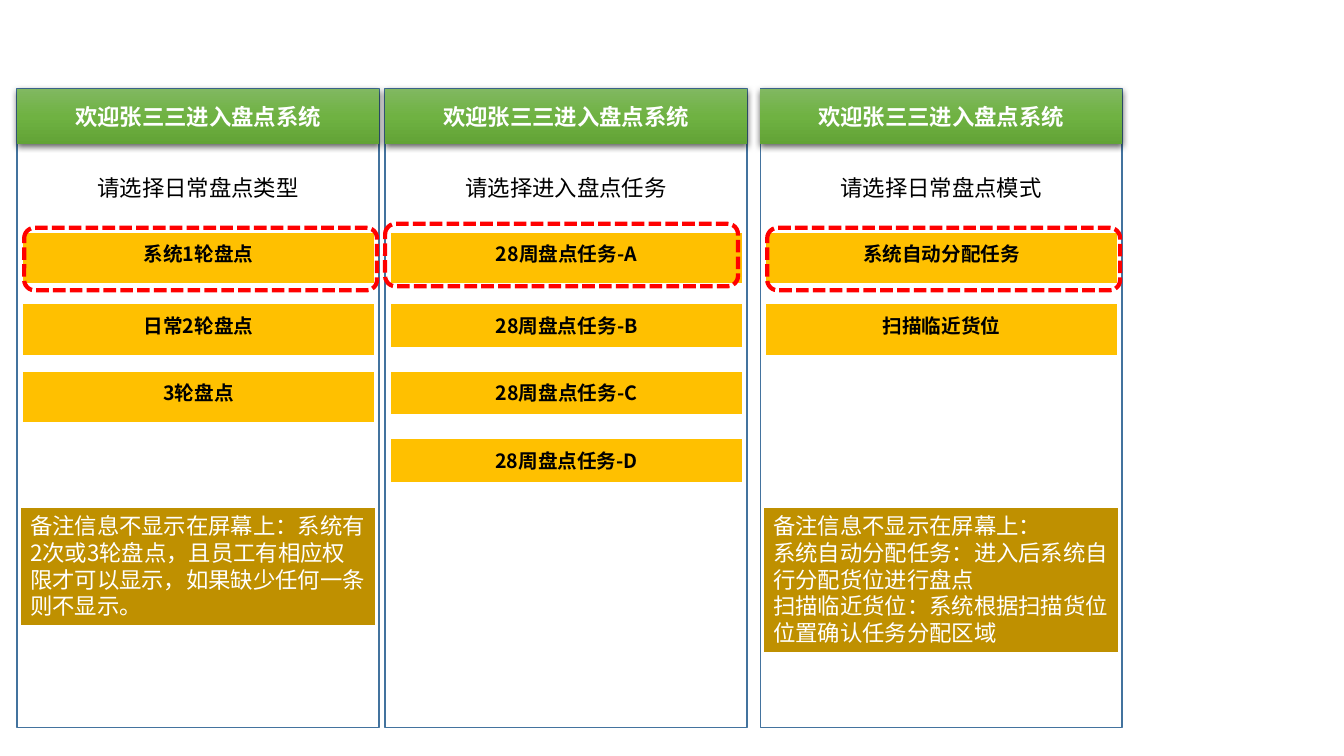
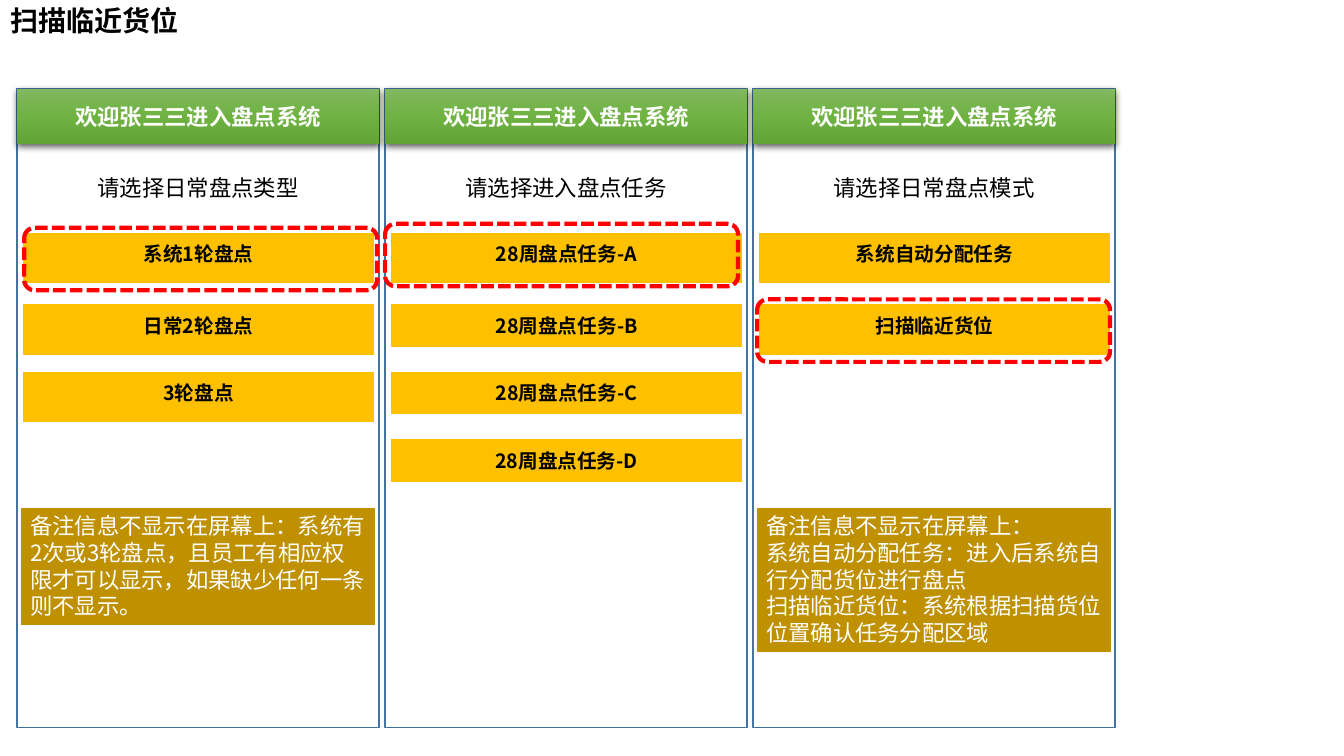
import dataclasses

import pptx
import pptx.dml.color
import pptx.enum.dml
import pptx.enum.shapes
import pptx.enum.text
import pptx.oxml
import pptx.oxml.ns
import pptx.util

Inches = pptx.util.Inches
Pt = pptx.util.Pt
SHAPE = pptx.enum.shapes.MSO_SHAPE
ALIGN = pptx.enum.text.PP_ALIGN
ANCHOR = pptx.enum.text.MSO_ANCHOR
qn = pptx.oxml.ns.qn


# Colours, type sizes and the shared geometry of a screen
@dataclasses.dataclass(frozen=True)
class Theme:
    font: str = "Noto Sans CJK SC"
    title_font: str = "Calibri"
    black: str = "000000"
    white: str = "FFFFFF"
    frame: str = "43739E"
    button: str = "FFC000"
    note: str = "BF9000"
    mark: str = "FF0000"
    header_stops: tuple = ((0, "81B861"), (50, "6FB242"), (100, "62A336"))
    title_size: int = 20
    body_size: int = 16
    button_size: int = 14
    screen_top: float = 0.88
    screen_width: float = 3.59
    screen_height: float = 6.34
    button_width: float = 3.5
    button_tops: tuple = (2.3, 3.01, 3.68, 4.35)
    note_top: float = 5.03


THEME = Theme()


# One screen of the stocktaking flow
@dataclasses.dataclass(frozen=True)
class Screen:
    left: float
    prompt: str
    buttons: tuple
    mark: tuple  # offset from the screen's left edge, top
    low_buttons: float = 0.52  # height of the buttons below the first
    note: tuple = ()
    note_height: float = 0


def rgb(code):
    return pptx.dml.color.RGBColor.from_string(code)


def write(frame, *paragraphs, size, color=THEME.black, bold=False, font=THEME.font,
          align=ALIGN.LEFT, anchor=ANCHOR.TOP, top_inset=0.05, spacing=None):
    frame.word_wrap = True
    frame.auto_size = pptx.enum.text.MSO_AUTO_SIZE.NONE
    frame.vertical_anchor = anchor
    frame.margin_top = Inches(top_inset)
    for index, text in enumerate(paragraphs):
        paragraph = frame.add_paragraph() if index else frame.paragraphs[0]
        paragraph.alignment = align
        paragraph.line_spacing = spacing
        run = paragraph.add_run()
        run.text = text
        run.font.size = Pt(size)
        run.font.bold = bold
        run.font.name = font
        run.font.color.rgb = rgb(color)
        east_asian = pptx.oxml.parse_xml(
            f'<a:ea {pptx.oxml.ns.nsdecls("a")} typeface="{THEME.font}"/>')
        run.font._element.find(qn("a:latin")).addnext(east_asian)


def add_box(slide, left, top, width, height, fill=None, line=None, line_width=1.5,
            kind=SHAPE.RECTANGLE):
    box = slide.shapes.add_shape(
        kind, Inches(left), Inches(top), Inches(width), Inches(height))
    box.shadow.inherit = False
    if fill:
        box.fill.solid()
        box.fill.fore_color.rgb = rgb(fill)
    else:
        box.fill.background()
    if line:
        box.line.color.rgb = rgb(line)
        box.line.width = Pt(line_width)
    else:
        box.line.fill.background()
    return box


def add_header(slide, left):
    header = add_box(slide, left, THEME.screen_top, THEME.screen_width, 0.55)
    header.fill.gradient()
    header.fill.gradient_angle = 270
    properties = header._element.spPr
    stops = properties.find(qn("a:gradFill")).find(qn("a:gsLst"))
    for stop in list(stops):
        stops.remove(stop)
    namespace = pptx.oxml.ns.nsdecls("a")
    for position, color in THEME.header_stops:
        stops.append(pptx.oxml.parse_xml(
            f'<a:gs {namespace} pos="{position * 1000}"><a:srgbClr val="{color}"/></a:gs>'))
    properties.find(qn("a:effectLst")).append(pptx.oxml.parse_xml(
        f'<a:outerShdw {namespace} blurRad="{Pt(4.5)}" dist="{Pt(1.5)}" dir="5400000" '
        f'algn="ctr" rotWithShape="0"><a:srgbClr val="{THEME.black}">'
        '<a:alpha val="63000"/></a:srgbClr></a:outerShdw>'))
    write(header.text_frame, "欢迎张三三进入盘点系统", size=THEME.body_size,
          color=THEME.white, bold=True, align=ALIGN.CENTER, anchor=ANCHOR.MIDDLE)


def add_prompt(slide, left, text):
    prompt = slide.shapes.add_textbox(
        Inches(left), Inches(1.68), Inches(THEME.screen_width), Inches(0.37))
    write(prompt.text_frame, text, size=THEME.body_size, align=ALIGN.CENTER)


def add_button(slide, left, top, height, text):
    button = add_box(slide, left, top, THEME.button_width, height,
                     fill=THEME.button, line=THEME.white)
    write(button.text_frame, text, size=THEME.button_size, bold=True,
          align=ALIGN.CENTER, top_inset=0.1)


def add_mark(slide, left, top):
    mark = add_box(slide, left, top, THEME.button_width, 0.62, line=THEME.mark,
                   line_width=3, kind=SHAPE.ROUNDED_RECTANGLE)
    mark.line.dash_style = pptx.enum.dml.MSO_LINE.SQUARE_DOT


def add_note(slide, left, height, paragraphs):
    note = add_box(slide, left, THEME.note_top, 3.53, height,
                   fill=THEME.note, line=THEME.white)
    write(note.text_frame, *paragraphs, size=THEME.body_size, color=THEME.white)


def add_screen(slide, screen):
    add_box(slide, screen.left, THEME.screen_top, THEME.screen_width,
            THEME.screen_height, fill=THEME.white, line=THEME.frame, line_width=1)
    add_header(slide, screen.left)
    add_prompt(slide, screen.left, screen.prompt)
    for index, (top, text) in enumerate(zip(THEME.button_tops, screen.buttons)):
        height = screen.low_buttons if index else 0.52
        add_button(slide, screen.left + 0.05, top, height, text)
    if screen.note:
        add_note(slide, screen.left + 0.03, screen.note_height, screen.note)
    offset, mark_top = screen.mark
    add_mark(slide, screen.left + offset, mark_top)


def add_title(slide, text):
    title = slide.shapes.title
    title.left, title.top = Inches(0), Inches(0.01)
    title.width, title.height = Inches(11.5), Inches(0.43)
    write(title.text_frame, text, size=THEME.title_size, bold=True,
          font=THEME.title_font, anchor=ANCHOR.MIDDLE, spacing=0.9)


# Screens shown on both slides
TYPE_SCREEN = Screen(
    left=0.17, prompt="请选择日常盘点类型",
    buttons=("系统1轮盘点", "日常2轮盘点", "3轮盘点"), mark=(0.07, 2.26),
    note=("备注信息不显示在屏幕上：系统有2次或3轮盘点，且员工有相应权限才可以显示，"
          "如果缺少任何一条则不显示。",),
    note_height=1.18)
TASK_SCREEN = Screen(
    left=3.82, prompt="请选择进入盘点任务",
    buttons=tuple(f"28周盘点任务-{letter}" for letter in "ABCD"),
    mark=(0, 2.22), low_buttons=0.44)
MODE_SCREEN = Screen(
    left=7.54, prompt="请选择日常盘点模式",
    buttons=("系统自动分配任务", "扫描临近货位"), mark=(0.07, 2.26),
    note=("备注信息不显示在屏幕上：",
          "系统自动分配任务：进入后系统自行分配货位进行盘点",
          "扫描临近货位：系统根据扫描货位位置确认任务分配区域"),
    note_height=1.45)
SCAN_SCREEN = dataclasses.replace(MODE_SCREEN, left=7.47, mark=(0.04, 2.97))


def main():
    deck = pptx.Presentation()
    deck.slide_width, deck.slide_height = Inches(13.33), Inches(7.5)
    title_only, blank = deck.slide_layouts[5], deck.slide_layouts[6]

    for title, mode_screen in ((None, MODE_SCREEN), ("扫描临近货位", SCAN_SCREEN)):
        slide = deck.slides.add_slide(title_only if title else blank)
        if title:
            add_title(slide, title)
        for screen in (TYPE_SCREEN, mode_screen, TASK_SCREEN):
            add_screen(slide, screen)

    deck.save("out.pptx")


main()
